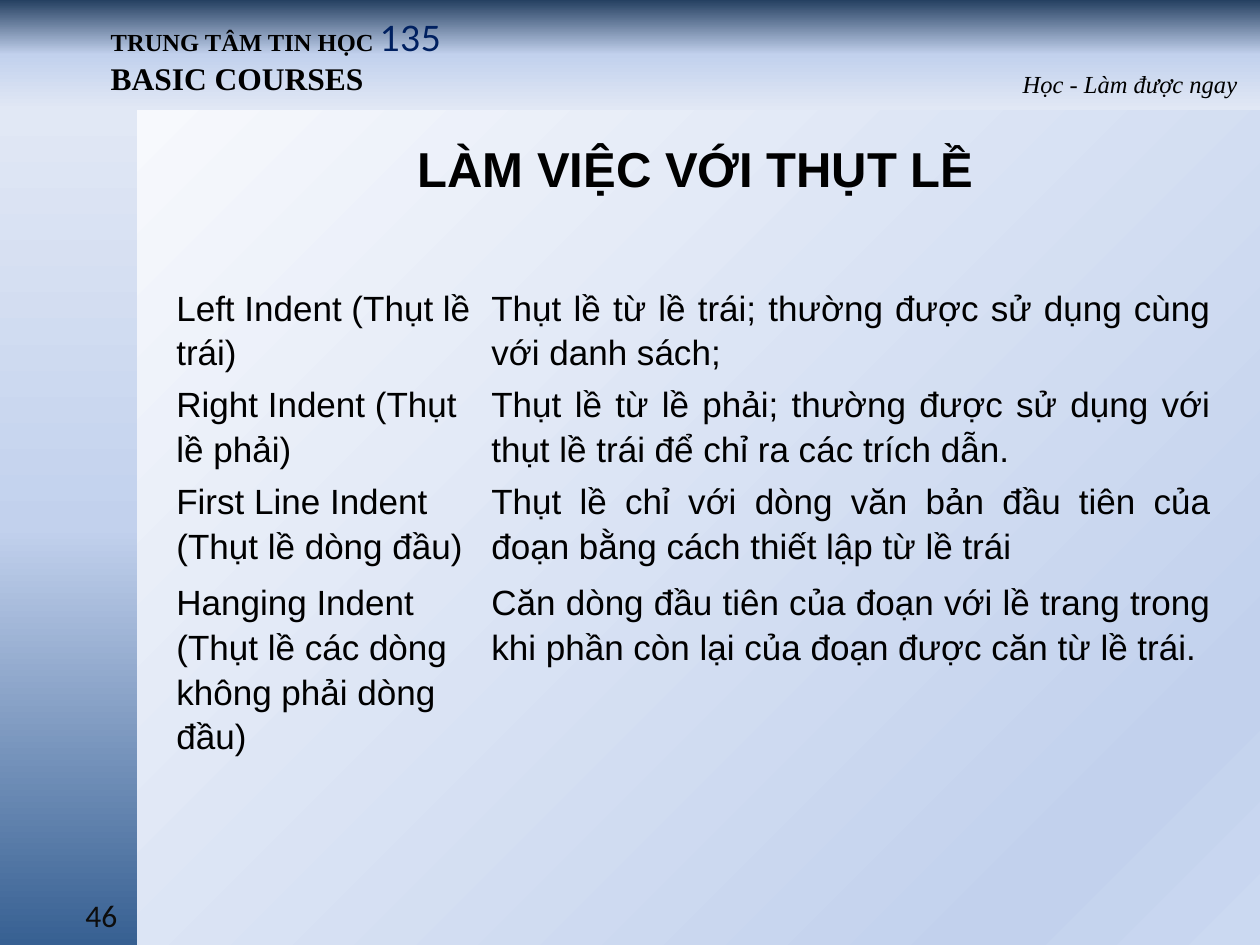
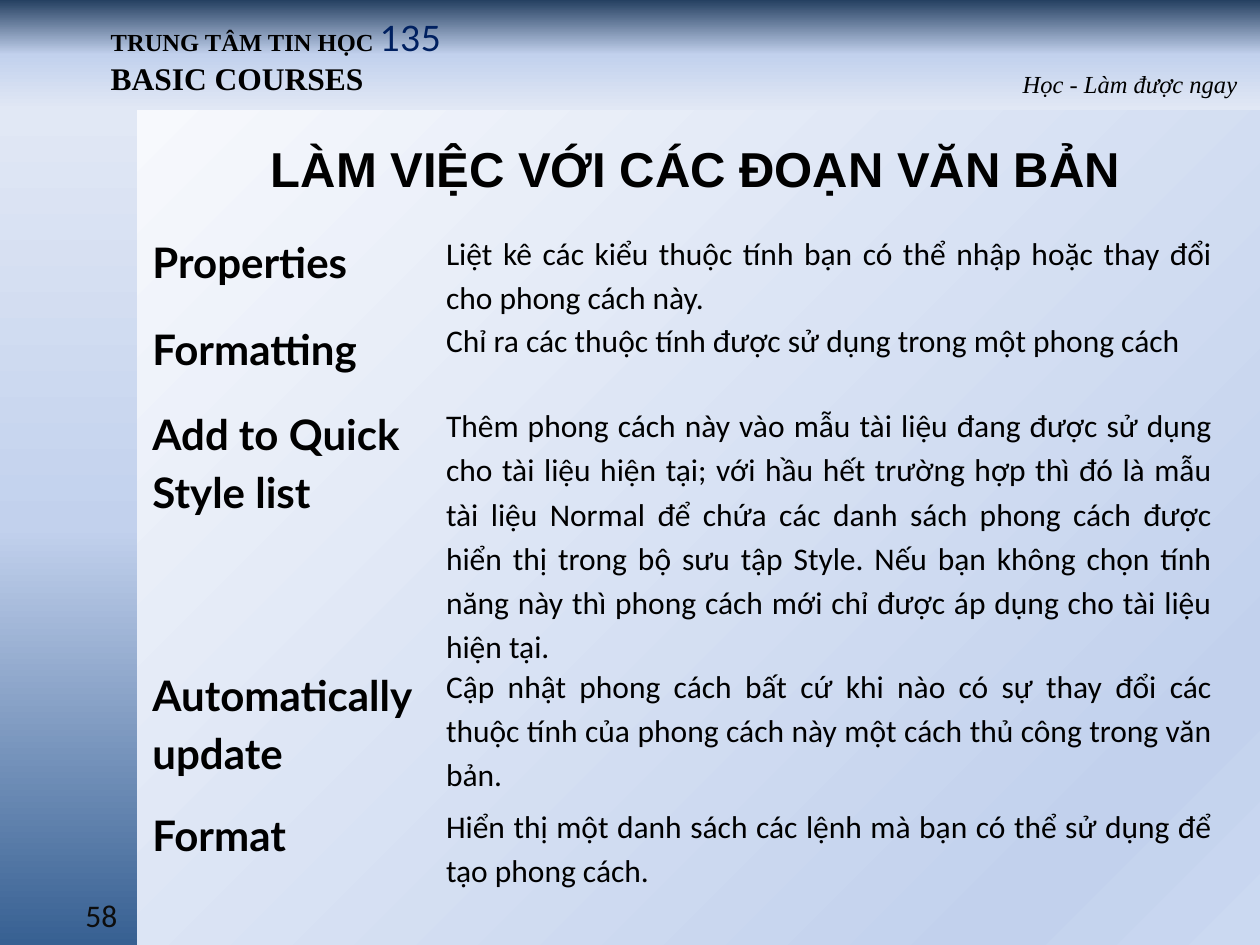
from copy import deepcopy

from pptx import Presentation
from pptx.dml.color import RGBColor
from pptx.enum.shapes import MSO_SHAPE
from pptx.enum.text import MSO_ANCHOR, MSO_AUTO_SIZE, PP_ALIGN
from pptx.oxml.ns import qn
from pptx.util import Inches, Pt

RECT = MSO_SHAPE.RECTANGLE
LEFT, CENTER, RIGHT, JUSTIFY = PP_ALIGN.LEFT, PP_ALIGN.CENTER, PP_ALIGN.RIGHT, PP_ALIGN.JUSTIFY
MIDDLE = MSO_ANCHOR.MIDDLE
GROW = MSO_AUTO_SIZE.SHAPE_TO_FIT_TEXT

BLACK, NAVY, NUMBER_GREY = "000000", "002060", "0D0D0D"
PAGE_STOPS = [(0, "CBD9F1"), (0.13, "C2D1ED"), (1, "FFFFFF")]
FADE_STOPS = [(0.5, "C2D1ED"), (1, "E1E8F5")]
TOP_STOPS = [(0, "254061")] + FADE_STOPS
SIDE_STOPS = [(0, "376092")] + FADE_STOPS
SERIF = "Times New Roman"
BAND_HEIGHT, SIDE_WIDTH = 0.87, 1.09
NO_TABLE_STYLE = "{2D5ABB26-0587-4C30-8999-92F81FD0307C}"

INDENT_ROWS = [
    (0.63, "Left Indent (Thụt lề trái)",
     "Thụt lề từ lề trái; thường được sử dụng cùng với danh sách;"),
    (0.71, "Right Indent (Thụt lề phải)",
     "Thụt lề từ lề phải; thường được sử dụng với thụt lề trái để chỉ ra các trích dẫn."),
    (0.8, "First Line Indent (Thụt lề dòng đầu)",
     "Thụt lề chỉ với dòng văn bản đầu tiên của đoạn bằng cách thiết lập từ lề trái"),
    (1.29, "Hanging Indent (Thụt lề các dòng không phải dòng đầu)",
     "Căn dòng đầu tiên của đoạn với lề trang trong khi phần còn lại của đoạn "
     "được căn từ lề trái."),
]
STYLE_ROWS = [
    (0.68, "Properties",
     "Liệt kê các kiểu thuộc tính bạn có thể nhập hoặc thay đổi cho phong cách này."),
    (0.68, "Formatting",
     "Chỉ ra các thuộc tính được sử dụng trong một phong cách"),
    (2, "Add to Quick Style list",
     "Thêm phong cách này vào mẫu tài liệu đang được sử dụng cho tài liệu hiện tại; "
     "với hầu hết trường hợp thì đó là mẫu tài liệu Normal để chứa các danh sách phong cách "
     "được hiển thị trong bộ sưu tập Style. Nếu bạn không chọn tính năng này thì phong cách "
     "mới chỉ được áp dụng cho tài liệu hiện tại."),
    (1.11, "Automatically update",
     "Cập nhật phong cách bất cứ khi nào có sự thay đổi các thuộc tính của phong cách này "
     "một cách thủ công trong văn bản."),
    (1.05, "Format",
     "Hiển thị một danh sách các lệnh mà bạn có thể sử dụng để tạo phong cách."),
]


def rgb(value):
    return RGBColor.from_string(value)


def set_font(font, name, size, color=BLACK, bold=False, italic=False):
    font.name, font.size = name, Pt(size)
    font.bold, font.italic = bold, italic
    font.color.rgb = rgb(color)


def set_gradient(fill, element, stops, clockwise):
    fill.gradient()
    fill.gradient_angle = 360 - clockwise
    stop_list = element.find(".//" + qn("a:gsLst"))
    while len(stop_list) < len(stops):
        stop_list.append(deepcopy(stop_list[0]))
    for stop, (position, color) in zip(fill.gradient_stops, stops):
        stop.position = position
        stop.color.rgb = rgb(color)


def add_band(s, x, y, w, h, stops, clockwise):
    sp = s.shapes.add_shape(RECT, Inches(x), Inches(y), Inches(w), Inches(h))
    sp.shadow.inherit = False
    sp.line.fill.background()
    set_gradient(sp.fill, sp.element, stops, clockwise)


def add_box(s, x, y, w, h, align=LEFT):
    tf = s.shapes.add_textbox(Inches(x), Inches(y), Inches(w), Inches(h)).text_frame
    tf.word_wrap = True
    tf.auto_size = GROW
    tf.paragraphs[0].alignment = align
    return tf


def add_text(s, x, y, w, h, text, name, size, align=LEFT, **style):
    tf = add_box(s, x, y, w, h, align)
    p = tf.paragraphs[0]
    p.text = text
    set_font(p.font, name, size, **style)
    return tf


def add_centre_name(s):
    p = add_box(s, 0.78, 0.08, 6.08, 0.44).paragraphs[0]
    for text, name, size, color, bold in (
        ("TRUNG TÂM TIN HỌC ", SERIF, 14, BLACK, True),
        ("135", "Lato", 20, NAVY, False),
    ):
        r = p.add_run()
        r.text = text
        set_font(r.font, name, size, color, bold)


def add_page(prs, title, number):
    s = prs.slides.add_slide(prs.slide_layouts[6])
    set_gradient(s.background.fill, s.element, PAGE_STOPS, 225)
    add_band(s, 0, 0, 10, BAND_HEIGHT, TOP_STOPS, 90)
    add_band(s, 0, BAND_HEIGHT, SIDE_WIDTH, 7.5 - BAND_HEIGHT, SIDE_STOPS, 270)
    add_text(s, 0.78, 0.42, 4.08, 0.4, "BASIC COURSES", SERIF, 18, bold=True)
    add_centre_name(s)
    add_text(s, 6.75, 0.5, 3.17, 0.34, "Học - Làm được ngay", SERIF, 14, RIGHT, italic=True)
    add_text(s, 0.43, 7.06, 0.6, 0.4, str(number), "Calibri", 18, RIGHT, color=NUMBER_GREY)
    tf = add_text(s, 1.14, BAND_HEIGHT, 8.76, 0.93, title, "Arial", 28, CENTER, bold=True)
    tf.auto_size = MSO_AUTO_SIZE.NONE
    tf.vertical_anchor = MIDDLE
    return s


def fill_cell(cell, text, align, font):
    cell.fill.background()
    cell.margin_left = cell.margin_right = Inches(0.07)
    cell.margin_top = cell.margin_bottom = 0
    p = cell.text_frame.paragraphs[0]
    p.text = text
    p.alignment = align
    p.line_spacing = 1.15
    p.space_after = Pt(2)
    set_font(p.font, *font)


def add_definitions(s, x, y, widths, rows, term_font, meaning_font):
    height = sum(row[0] for row in rows)
    table = s.shapes.add_table(len(rows), 2, Inches(x), Inches(y),
                               Inches(sum(widths)), Inches(height)).table
    table.first_row = table.horz_banding = False
    table._tbl.tblPr.find(qn("a:tableStyleId")).text = NO_TABLE_STYLE
    for column, width in zip(table.columns, widths):
        column.width = Inches(width)
    for i, (row_height, term, meaning) in enumerate(rows):
        table.rows[i].height = Inches(row_height)
        fill_cell(table.cell(i, 0), term, LEFT, term_font)
        fill_cell(table.cell(i, 1), meaning, JUSTIFY, meaning_font)


def main():
    prs = Presentation()
    prs.slide_width, prs.slide_height = Inches(10), Inches(7.5)

    s = add_page(prs, "LÀM VIỆC VỚI THỤT LỀ", 46)
    add_definitions(s, 1.33, 2.25, (2.5, 5.85), INDENT_ROWS, ("Arial", 20), ("Arial", 20))

    s = add_page(prs, "LÀM VIỆC VỚI CÁC ĐOẠN VĂN BẢN", 58)
    add_definitions(s, 1.14, 1.82, (2.33, 6.22), STYLE_ROWS,
                    ("Lato", 24, BLACK, True), ("Calibri", 18))

    prs.save("out.pptx")


if __name__ == "__main__":
    main()
